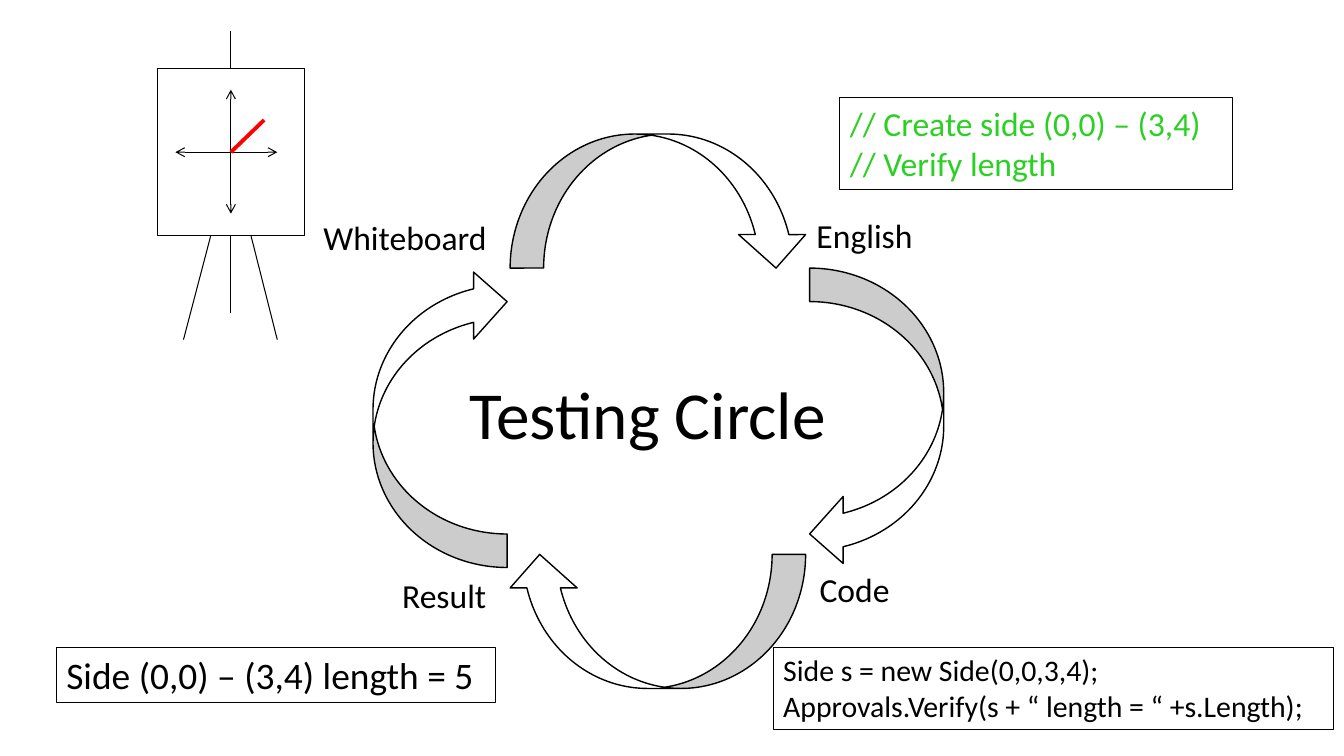
from lxml import etree
from pptx import Presentation
from pptx.dml.color import RGBColor
from pptx.enum.shapes import MSO_CONNECTOR as LINE, MSO_SHAPE as SHAPE
from pptx.enum.text import MSO_ANCHOR, MSO_AUTO_SIZE as FIT, PP_ALIGN
from pptx.oxml.ns import qn
from pptx.util import Pt

PX = 9144
SLIDE = (1333, 750)
FONT = "Calibri"
COLORS = {"ink": "000000", "paper": "FFFFFF", "comment": "2AD122", "side": "FF0000"}

ARROW_SIZE = (297, 133)
ARROWS = [(288, 348, 270), (721, 348, 90), (506, 133, 0)]
LAST_ARROW = (502, 550, 180)

LABELS = [
    ("English", (800, 208, 164, 50), 24, True),
    ("Code", (803, 559, 90, 50), 24, False),
    ("Result", (389, 565, 112, 50), 24, True),
    ("Whiteboard", (311, 210, 194, 50), 24, True),
]
TITLE = ("Testing Circle", (456, 364, 378, 91), 48, False)

EXAMPLES = [
    (["// Create side (0,0) – (3,4)", "// Verify length"], (833, 97, 389, 91), 24, "comment"),
    (["Side s = new Side(0,0,3,4);", "Approvals.Verify(s + “ length = “ +s.Length);"],
     (767, 642, 556, 82), 21.3, "ink"),
    (["Side (0,0) – (3,4) length = 5"], (56, 642, 436, 55), 26.7, "ink"),
]

BOARD = (156, 68, 146, 166)
CENTER = BOARD[0] + BOARD[2] // 2
BOARD_BOTTOM = BOARD[1] + BOARD[3]
POLES = [((CENTER, 31), (CENTER, BOARD[1]), 0), ((CENTER, 311), (CENTER, BOARD_BOTTOM), 2)]
LEGS = [((182, 337), (209, BOARD_BOTTOM)), ((275, 337), (249, BOARD_BOTTOM))]
AXES = [((CENTER, 89), (CENTER, 212)), ((174, 151), (275, 151))]
SIDE = ((CENTER, 151), (262, 119))


def emu(lengths):
    return [length * PX for length in lengths]


def color(name):
    return RGBColor.from_string(COLORS[name])


def add_outlined(shapes, kind, box, width):
    shape = shapes.add_shape(kind, *emu(box))
    shape.shadow.inherit = False
    shape.fill.solid()
    shape.fill.fore_color.rgb = color("paper")
    shape.line.color.rgb = color("ink")
    shape.line.width = Pt(width)
    return shape


def add_line(shapes, start, end, ink="ink", width=0.75, arrows=False):
    line = shapes.add_connector(LINE.STRAIGHT, *emu(start + end))
    line.line.color.rgb = color(ink)
    line.line.width = Pt(width)
    if arrows:
        stroke = line.line._get_or_add_ln()
        for end_tag in ("a:headEnd", "a:tailEnd"):
            etree.SubElement(stroke, qn(end_tag), type="arrow")
    etree.SubElement(line._element.spPr, qn("a:effectLst"))
    return line


def write(shape, lines, size, ink="ink", wrap=True):
    frame = shape.text_frame
    frame.word_wrap = wrap
    frame.auto_size = FIT.SHAPE_TO_FIT_TEXT
    frame.vertical_anchor = MSO_ANCHOR.TOP
    for index, text in enumerate(lines):
        paragraph = frame.add_paragraph() if index else frame.paragraphs[0]
        paragraph.alignment = PP_ALIGN.LEFT
        run = paragraph.add_run()
        run.text = text
        run.font.name = FONT
        run.font.size = Pt(size)
        run.font.color.rgb = color(ink)


def add_label(shapes, text, box, size, wrap):
    write(shapes.add_textbox(*emu(box)), [text], size, wrap=wrap)


def add_arrow(shapes, left, top, rotation):
    arrow = add_outlined(shapes, SHAPE.CURVED_DOWN_ARROW, (left, top) + ARROW_SIZE, 1)
    arrow.rotation = rotation


def add_easel(shapes):
    board = add_outlined(shapes, SHAPE.RECTANGLE, BOARD, 1)
    for start, end, site in POLES:
        add_line(shapes, start, end).end_connect(board, site)
    for start, end in LEGS:
        add_line(shapes, start, end)
    for start, end in AXES:
        add_line(shapes, start, end, arrows=True)
    add_line(shapes, *SIDE, ink="side", width=2.75)


def main():
    deck = Presentation()
    deck.slide_width, deck.slide_height = emu(SLIDE)
    shapes = deck.slides.add_slide(deck.slide_layouts[6]).shapes
    for arrow in ARROWS:
        add_arrow(shapes, *arrow)
    for label in LABELS:
        add_label(shapes, *label)
    add_easel(shapes.add_group_shape().shapes)
    for lines, box, size, ink in EXAMPLES:
        write(add_outlined(shapes, SHAPE.RECTANGLE, box, 0.75), lines, size, ink)
    add_arrow(shapes, *LAST_ARROW)
    add_label(shapes, *TITLE)
    deck.save("out.pptx")


if __name__ == "__main__":
    main()
